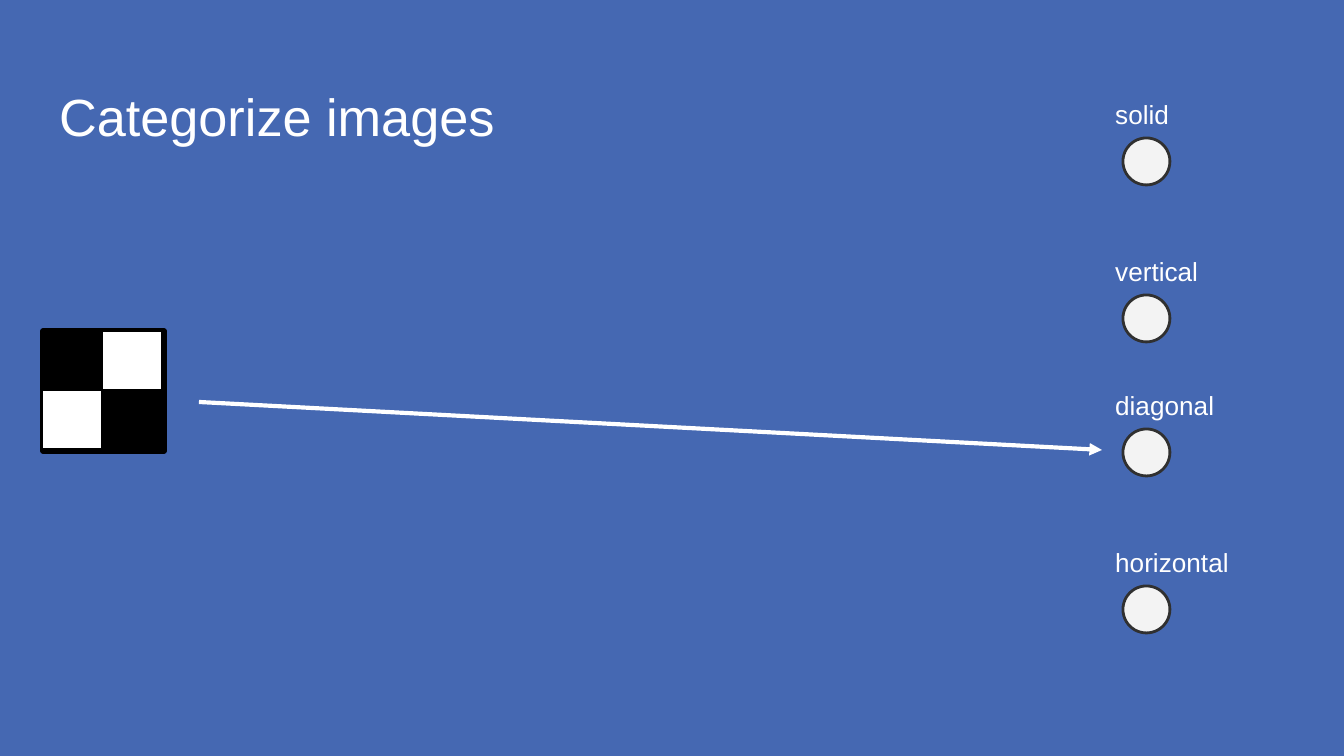
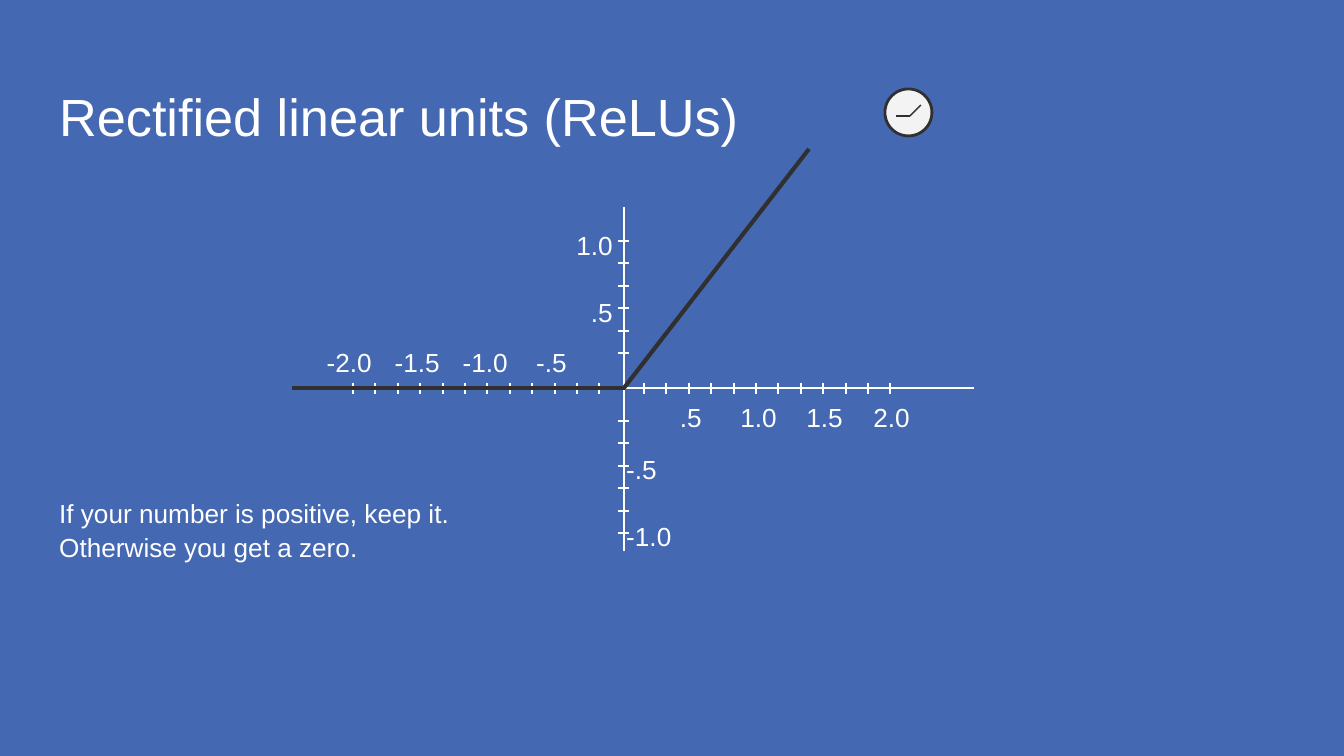
from lxml import etree
from pptx import Presentation
from pptx import util as u
from pptx.dml import color
from pptx.enum import shapes, text
from pptx.oxml import ns

SCALE = 914400 / 134.4
BLUE, WHITE, PALE, DARK, BLACK = "4568B2", "FFFFFF", "F3F3F3", "303030", "000000"
LEFT, RIGHT = text.PP_ALIGN.LEFT, text.PP_ALIGN.RIGHT


def px(*lengths):
    """Turn whole pixels into EMU."""
    return [u.Emu(round(length * SCALE)) for length in lengths]


def rgb(value):
    """Turn a hex string into a colour."""
    return color.RGBColor.from_string(value)


class Deck:
    """Hold the shared style and the current slide."""

    def __init__(self):
        """Start an empty widescreen presentation."""
        self.presentation = Presentation()
        self.presentation.slide_width, self.presentation.slide_height = px(1344, 756)

    def new_slide(self, title):
        """Add a slide with the blue background and its title."""
        layout = self.presentation.slide_layouts[6]
        slide = self.presentation.slides.add_slide(layout)
        slide.background.fill.solid()
        slide.background.fill.fore_color.rgb = rgb(BLUE)
        self.shapes = slide.shapes
        self.label([title], 46, 66, 1253, 84, size=28)

    def group(self):
        """Add an empty group and return its shapes."""
        return self.shapes.add_group_shape().shapes

    def label(self, lines, left, top, width, height, size=14, align=LEFT):
        """Add a text box with one paragraph per line."""
        frame = self.shapes.add_textbox(*px(left, top, width, height)).text_frame
        inset = u.Inches(0.1)
        frame_format = {
            "word_wrap": True, "vertical_anchor": text.MSO_ANCHOR.TOP,
            "margin_left": inset, "margin_top": inset,
            "margin_right": inset, "margin_bottom": inset,
        }
        for name, value in frame_format.items():
            setattr(frame, name, value)
        for index, line in enumerate(lines):
            paragraph = frame.add_paragraph() if index else frame.paragraphs[0]
            paragraph.alignment = align
            paragraph.line_spacing = 1.07
            run = paragraph.add_run()
            run.text = line
            for name, value in {"name": "Arial", "size": u.Pt(size)}.items():
                setattr(run.font, name, value)
            run.font.color.rgb = rgb(WHITE)

    def shape(self, kind, left, top, width, height, fill, line, weight, parent=None):
        """Add an outlined preset shape, hollow when fill is None."""
        owner = self.shapes if parent is None else parent
        shape = owner.add_shape(kind, *px(left, top, width, height))
        shape.shadow.inherit = False
        if fill:
            shape.fill.solid()
            shape.fill.fore_color.rgb = rgb(fill)
        else:
            shape.fill.background()
        shape.line.color.rgb = rgb(line)
        shape.line.width = u.Pt(weight)

    def square(self, left, top, width, height, fill=None, weight=0.75, parent=None):
        """Add a rectangle with a black outline."""
        kind = shapes.MSO_SHAPE.RECTANGLE
        self.shape(kind, left, top, width, height, fill, BLACK, weight, parent)

    def node(self, left, top):
        """Add a pale network node."""
        self.shape(shapes.MSO_SHAPE.OVAL, left, top, 47, 47, PALE, DARK, 1.5)

    def line(self, start, end, stroke=WHITE, weight=0.75, arrow=False, parent=None):
        """Add a straight line, with an arrowhead on request."""
        owner = self.shapes if parent is None else parent
        line = owner.add_connector(shapes.MSO_CONNECTOR.STRAIGHT, *px(*start, *end))
        line.line.color.rgb = rgb(stroke)
        line.line.width = u.Pt(weight)
        properties = line._element.spPr
        if arrow:
            outline = properties.find(ns.qn("a:ln"))
            etree.SubElement(outline, ns.qn("a:tailEnd"), type="triangle")
        etree.SubElement(properties, ns.qn("a:effectLst"))


def categories_slide(deck):
    """Link a checkered image to one of four categories."""
    deck.new_slide("Categorize images")
    deck.square(43, 331, 121, 120, weight=3)
    categories = [("solid", 138, 121), ("vertical", 295, 121),
                  ("diagonal", 429, 153), ("horizontal", 586, 177)]
    for name, top, width in categories:
        deck.node(1123, top)
        deck.label([name], 1102, top - 55, width, 66)
    deck.line((199, 402), (1102, 450), weight=2.25, arrow=True)
    image = deck.group()
    deck.square(42, 331, 121, 119, weight=1.5, parent=image)
    for row in range(2):
        for column in range(2):
            fill = BLACK if row == column else WHITE
            deck.square(42 + 60 * column, 331 + 59 * row, 60, 59, fill, parent=image)


def relu_slide(deck):
    """Plot the rectified linear function on ticked axes."""
    deck.new_slide("Rectified linear units (ReLUs)")
    origin_x, origin_y, step = 624, 388, 22.4
    deck.line((292, origin_y), (974, origin_y))
    deck.line((origin_x, 207), (origin_x, 551))
    for first in (241, 421):
        for index in range(6):
            y = first + round(step * index)
            deck.line((618, y), (629, y))
    for first in (353, 644):
        for index in range(12):
            x = first + round(step * index)
            deck.line((x, 383), (x, 394))

    for name, top in (("1.0", 214), (".5", 281)):
        deck.label([name], 551, top, 75, 52, align=RIGHT)
    for name, top in (("-.5", 438), ("-1.0", 505)):
        deck.label([name], 613, top, 75, 52)
    for top, marks in (
        (386, ((".5", 640), ("1.0", 715), ("1.5", 781), ("2.0", 848))),
        (331, (("-2.0", 310), ("-1.5", 378), ("-1.0", 446), ("-.5", 505))),
    ):
        for name, left in marks:
            deck.label([name], left, top, 75, 52, align=RIGHT)

    deck.line((625, origin_y), (292, origin_y), DARK, 2.25)
    deck.line((origin_x, origin_y), (809, 149), DARK, 2.25)
    deck.node(885, 89)
    symbol = deck.group()
    deck.line((896, 116), (910, 116), DARK, parent=symbol)
    deck.line((910, 116), (921, 105), DARK, parent=symbol)
    deck.label(["If your number is positive, keep it.", "Otherwise you get a zero."],
               46, 482, 421, 39)


deck = Deck()
categories_slide(deck)
relu_slide(deck)
deck.presentation.save("out.pptx")
